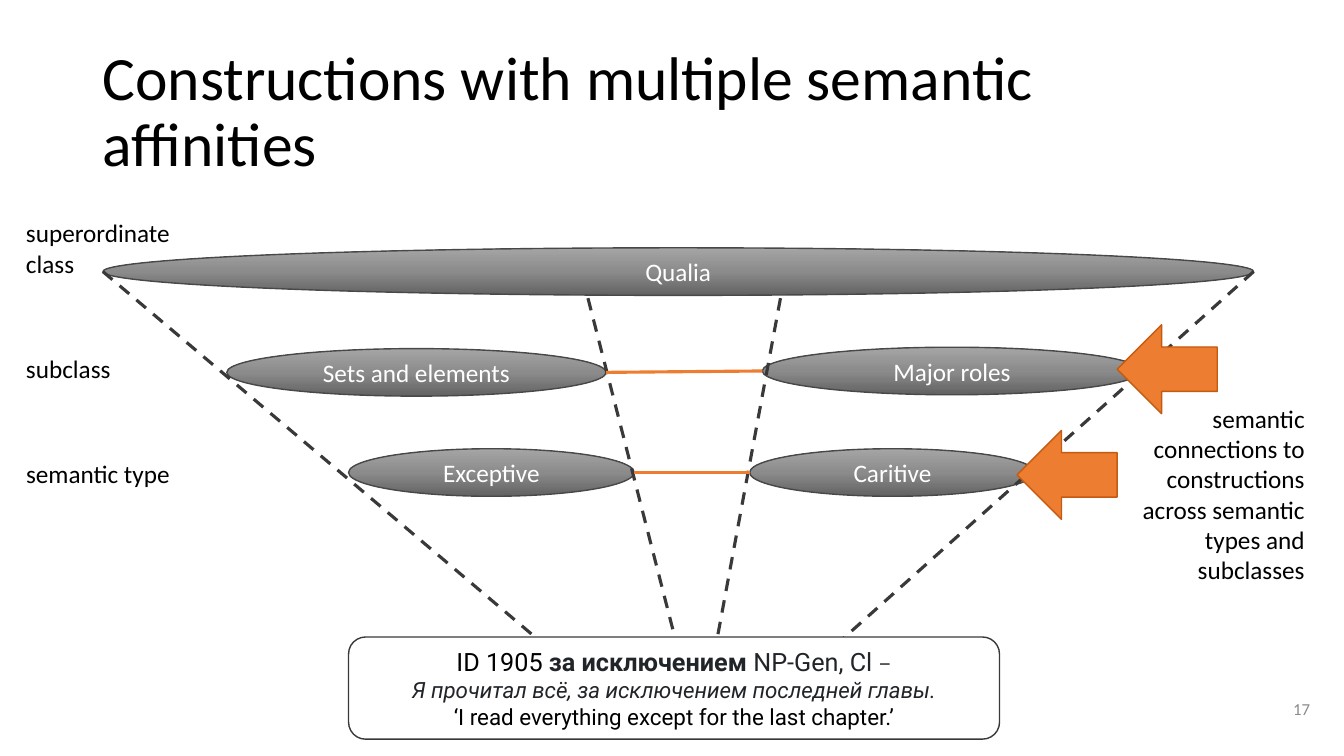
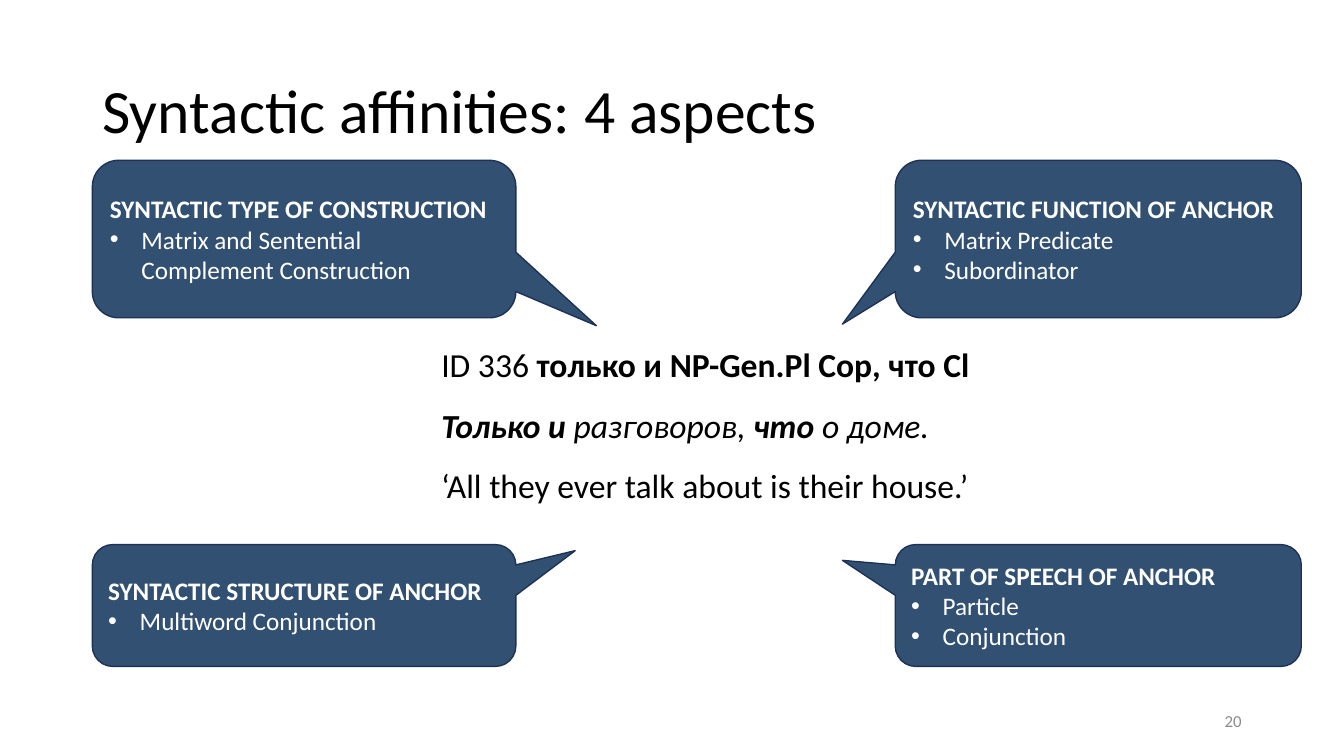
from copy import deepcopy

from lxml.etree import SubElement
from pptx import Presentation
from pptx.dml.color import RGBColor
from pptx.enum.dml import MSO_LINE
from pptx.enum.shapes import MSO_CONNECTOR, MSO_SHAPE
from pptx.enum.text import MSO_ANCHOR as ANCHOR
from pptx.enum.text import MSO_AUTO_SIZE as FIT
from pptx.enum.text import PP_ALIGN as ALIGN
from pptx.oxml.ns import qn
from pptx.util import Pt

# Shared look
BLACK, WHITE, GREY = "000000", "FFFFFF", "8C8C8C"
CHARCOAL, BODY_INK = "3B3838", "212529"
ORANGE, DARK_ORANGE = "ED7D31", "C55A11"
NAVY, DARK_NAVY = "315072", "1E3256"
ELLIPSE_EDGE = "484848"
ELLIPSE_STOPS = [(0, "626262"), (0.5, "8B8B8B"), (1, "A5A5A5")]
FONT, EXAMPLE_FONT = "Calibri", "Roboto"
ELLIPSE_HEIGHT = 34
BULLET_INDENT = 22.5


def rgb(value):
    return RGBColor.from_string(value)


def box(left, top, width, height):
    return [Pt(length) for length in (left, top, width, height)]


# Text
def set_bullet(paragraph, char=None):
    """Give a paragraph a hanging bullet, or clear the inherited one."""
    properties = paragraph._p.get_or_add_pPr()
    indent = Pt(BULLET_INDENT) if char else 0
    properties.set("marL", str(indent))
    properties.set("indent", str(-indent))
    if char:
        SubElement(properties, qn("a:buFont"), typeface="Arial")
        SubElement(properties, qn("a:buChar"), char=char)
    else:
        SubElement(properties, qn("a:buNone"))


def add_run(paragraph, text, size=18, font=FONT, color=BLACK, bold=False, italic=False):
    if text == "\n":
        paragraph.add_line_break()
        return
    run = paragraph.add_run()
    run.text = text
    run.font.size, run.font.name = Pt(size), font
    run.font.bold, run.font.italic = bold, italic
    run.font.color.rgb = rgb(color)


def write(frame, paragraphs, align=ALIGN.LEFT, anchor=ANCHOR.TOP, spacing=1.0,
          before=0, bullets_from=None, **run_format):
    """Each paragraph is a string or a list of (text, format) runs."""
    frame.word_wrap, frame.auto_size = True, FIT.NONE
    frame.vertical_anchor = anchor
    for index, runs in enumerate(paragraphs):
        paragraph = frame.add_paragraph() if index else frame.paragraphs[0]
        paragraph.alignment, paragraph.line_spacing = align, spacing
        paragraph.space_before = Pt(before)
        bulleted = bullets_from is not None and index >= bullets_from
        set_bullet(paragraph, "•" if bulleted else None)
        for text, own in [(runs, {})] if isinstance(runs, str) else runs:
            add_run(paragraph, text, **{**run_format, **own})


def label(slide, place, text, **text_format):
    write(slide.shapes.add_textbox(*box(*place)).text_frame, [text], **text_format)


def placeholder(shape, place, paragraphs, **text_format):
    shape.left, shape.top, shape.width, shape.height = box(*place)
    write(shape.text_frame, paragraphs, **text_format)


def start_slide(deck, layout, title, title_width, number, number_place):
    slide = deck.slides.add_slide(deck.slide_layouts[layout])
    placeholder(slide.shapes.title, (66, 29, title_width, 104), [title],
                size=44, anchor=ANCHOR.MIDDLE, spacing=0.9)
    label(slide, number_place, number, size=12, color=GREY,
          align=ALIGN.RIGHT, anchor=ANCHOR.MIDDLE)
    return slide


# Shapes
def outlined(slide, preset, place, edge, fill=None):
    shape = slide.shapes.add_shape(preset, *box(*place))
    shape.shadow.inherit = False
    shape.line.color.rgb, shape.line.width = rgb(edge), Pt(1)
    if fill:
        shape.fill.solid()
        shape.fill.fore_color.rgb = rgb(fill)
    return shape


def category(slide, left, top, width, name):
    ellipse = outlined(slide, MSO_SHAPE.OVAL, (left, top, width, ELLIPSE_HEIGHT), ELLIPSE_EDGE)
    ellipse.fill.gradient()
    ellipse.fill.gradient_angle = 90
    stop_list = ellipse._element.spPr.find(qn("a:gradFill")).find(qn("a:gsLst"))
    stop_list.append(deepcopy(stop_list[-1]))
    for stop, (position, color) in zip(ellipse.fill.gradient_stops, ELLIPSE_STOPS):
        stop.position, stop.color.rgb = position, rgb(color)
    write(ellipse.text_frame, [name], color=WHITE, align=ALIGN.CENTER, anchor=ANCHOR.MIDDLE)


def link(slide, start, end, color, dash=None):
    line = slide.shapes.add_connector(
        MSO_CONNECTOR.STRAIGHT, *[Pt(length) for length in (*start, *end)])
    line.line.color.rgb, line.line.width = rgb(color), Pt(2.25)
    if dash:
        line.line.dash_style = dash
    SubElement(line._element.spPr, qn("a:effectLst"))


def aspect(slide, place, pointer, heading, values):
    callout = outlined(slide, MSO_SHAPE.ROUNDED_RECTANGULAR_CALLOUT, place, DARK_NAVY, NAVY)
    for index, value in enumerate((*pointer, 0.167)):
        callout.adjustments[index] = value
    write(callout.text_frame, [[(heading, {"bold": True})], *values],
          color=WHITE, anchor=ANCHOR.MIDDLE, bullets_from=1)


# Slides
def semantic_slide(deck):
    slide = start_slide(deck, 5, "Constructions with multiple semantic affinities", 841,
                        "17", (866, 490, 77, 33))

    # Category levels
    for left, top, width, name in [
        (162, 249, 271, "Sets and elements"),
        (249, 320.5, 204, "Exceptive"),
        (73.5, 177, 822, "Qualia"),
        (544.5, 248, 271, "Major roles"),
        (535.5, 320.5, 204, "Caritive"),
    ]:
        category(slide, left, top, width, name)

    # Funnels from the top class down to the example
    for start, end in [
        ((73.5, 194), (387.5, 459.5)),
        ((420, 213), (482, 455)),
        ((895.5, 194), (598.5, 459.5)),
        ((557.5, 213), (512.5, 455)),
    ]:
        link(slide, start, end, CHARCOAL, MSO_LINE.DASH)

    # Example construction
    example = outlined(slide, MSO_SHAPE.ROUNDED_RECTANGLE, (249, 455, 465, 73), CHARCOAL, WHITE)
    write(example.text_frame, [
        [("ID 1905 ", {"size": 18, "color": BLACK}),
         ("за исключением ", {"size": 18, "bold": True}),
         ("NP-Gen, Cl ", {"size": 18}),
         ("–", {"size": 14}),
         ("\n", {}),
         ("Я прочитал всё, за исключением последней главы.", {"italic": True})],
        [("‘I read everything except for the last chapter.’", {"color": BLACK})],
    ], size=16, font=EXAMPLE_FONT, color=BODY_INK, align=ALIGN.CENTER, anchor=ANCHOR.MIDDLE)

    # Level names
    for top, width, level in [
        (152, 127, "superordinate class"),
        (248.5, 113, "subclass"),
        (324, 140, "semantic type"),
    ]:
        label(slide, (11.5, top, width, 29), level)

    # Connections across categories
    for left, top in [(798, 232), (726.5, 307.5)]:
        outlined(slide, MSO_SHAPE.LEFT_ARROW, (left, top, 71.5, 63.5), DARK_ORANGE, ORANGE)
    link(slide, (433, 266), (544.5, 265), ORANGE)
    link(slide, (453, 337.5), (535.5, 337.5), ORANGE)
    label(slide, (799, 284.5, 140, 138),
          "semantic connections to constructions across semantic types and subclasses",
          align=ALIGN.RIGHT)


def syntactic_slide(deck):
    slide = start_slide(deck, 1, "Syntactic affinities: 4 aspects", 828,
                        "20", (678, 500, 216, 29))

    # Example construction
    strong = {"bold": True}
    strong_italic, italic = {"bold": True, "italic": True}, {"italic": True}
    placeholder(slide.placeholders[1], (308, 238, 414, 139), [
        [("ID 336 ", {}), ("только и NP-Gen.Pl Cop, что Cl", strong)],
        [("Только и", strong_italic), (" разговоров, ", italic),
         ("что", strong_italic), (" о доме.", italic)],
        "‘All they ever talk about is their house.’",
    ], size=24, spacing=1.15, before=10)

    # Four aspects around it
    left_column, right_column = (66, 302.5), (639.5, 290)
    upper_row, lower_row = (114.5, 112.5), (389, 87)
    for (left, width), (top, height), pointer, heading, values in [
        (right_column, lower_row, (-0.63, -0.37),
         "PART OF SPEECH OF ANCHOR", ["Particle", "Conjunction"]),
        (right_column, upper_row, (-0.63, 0.54),
         "SYNTACTIC FUNCTION OF ANCHOR", ["Matrix Predicate", "Subordinator"]),
        (left_column, upper_row, (0.69, 0.55),
         "SYNTACTIC TYPE OF CONSTRUCTION", ["Matrix and Sentential Complement Construction"]),
        (left_column, lower_row, (0.64, -0.45),
         "SYNTACTIC STRUCTURE OF ANCHOR", ["Multiword Conjunction"]),
    ]:
        aspect(slide, (left, top, width, height), pointer, heading, values)


def main():
    deck = Presentation()
    deck.slide_width, deck.slide_height = Pt(960), Pt(540)
    semantic_slide(deck)
    syntactic_slide(deck)
    deck.save("out.pptx")


if __name__ == "__main__":
    main()
